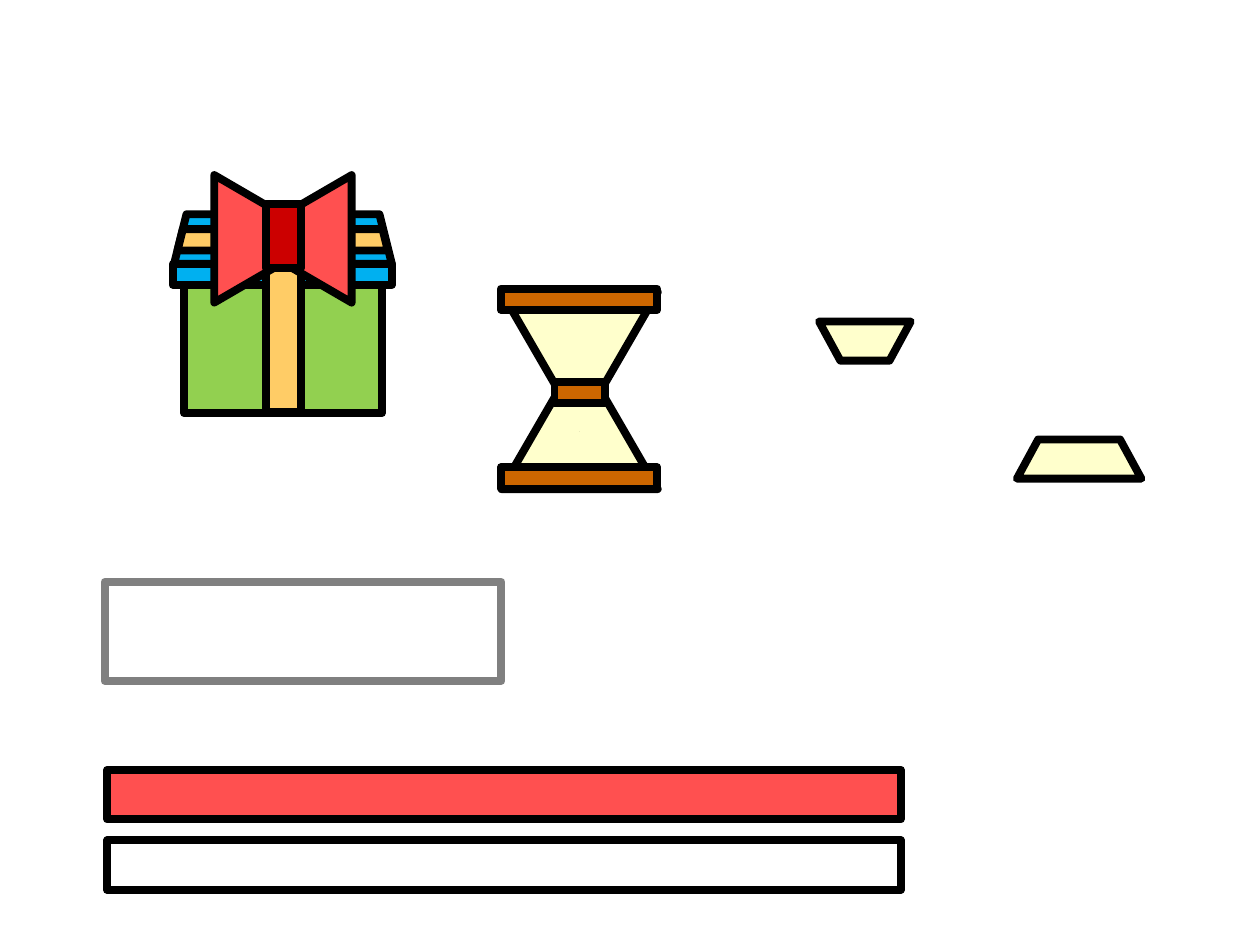
from lxml import etree
from pptx import Presentation
from pptx.dml.color import RGBColor
from pptx.enum.shapes import MSO_SHAPE
from pptx.oxml.ns import qn
from pptx.util import Cm, Pt

BLACK = RGBColor(0x00, 0x00, 0x00)
GRAY = RGBColor(0x80, 0x80, 0x80)
WHITE = RGBColor(0xFF, 0xFF, 0xFF)
GREEN = RGBColor(0x92, 0xD0, 0x50)
BLUE = RGBColor(0x00, 0xB0, 0xF0)
GOLD = RGBColor(0xFF, 0xCC, 0x66)
RED = RGBColor(0xFF, 0x50, 0x50)
DARK_RED = RGBColor(0xCC, 0x00, 0x00)
CREAM = RGBColor(0xFF, 0xFF, 0xCC)
WOOD = RGBColor(0xCC, 0x66, 0x00)


class Canvas:
    outline_width = Pt(4.5)

    def __init__(self, slide):
        self.slide = slide
        self.target = slide.shapes

    def start_group(self):
        self.target = self.slide.shapes.add_group_shape().shapes

    def end_group(self):
        self.target = self.slide.shapes

    def draw(self, kind, box, fill, line, rotation=0):
        shape = self.target.add_shape(kind, *(Cm(value) for value in box))
        shape.shadow.inherit = False
        shape.rotation = rotation
        if fill is None:
            shape.fill.background()
        else:
            shape.fill.solid()
            shape.fill.fore_color.rgb = fill
        if line is None:
            shape.line.fill.background()
        else:
            shape.line.color.rgb = line
            shape.line.width = self.outline_width
            etree.SubElement(shape.line._get_or_add_ln(), qn("a:round"))
        return shape

    def rect(self, box, fill=None, line=BLACK):
        return self.draw(MSO_SHAPE.RECTANGLE, box, fill, line)

    def triangle(self, box, fill, rotation=0):
        return self.draw(MSO_SHAPE.ISOSCELES_TRIANGLE, box, fill, BLACK, rotation)

    def trapezoid(self, box, fill, slant=0.25, rotation=0):
        shape = self.draw(MSO_SHAPE.TRAPEZOID, box, fill, BLACK, rotation)
        shape.adjustments[0] = slant
        return shape


def draw_gift(canvas):
    ribbon_left, ribbon_width = 5.36, 0.71
    canvas.start_group()
    canvas.rect((3.71, 5.33, 3.99, 3), GREEN)
    canvas.trapezoid((3.51, 4.32, 4.39, 1), BLUE)
    canvas.rect((3.48, 5.33, 4.42, 0.41), BLUE)
    canvas.trapezoid((ribbon_left, 4.32, ribbon_width, 1), WHITE, 0.149)
    canvas.trapezoid((3.58, 4.62, 4.24, 0.43), GOLD)
    canvas.rect((ribbon_left, 5.03, ribbon_width, 3.28), GOLD)
    for left, rotation in ((4.14, 90), (4.7, 270)):
        canvas.triangle((left, 3.71, 2.57, 2.21), RED, rotation)
    canvas.rect((4.67, 4.34, 1.88, 1), RED, None)
    canvas.rect((ribbon_left, 4.11, ribbon_width, 1.3), DARK_RED)
    canvas.end_group()


def draw_hourglass(canvas):
    for top, rotation in ((7.14, 0), (5.89, 180)):
        canvas.triangle((10.11, top, 3.15, 2.72), CREAM, rotation)
    canvas.rect((11.28, 7.19, 0.79, 1.5), CREAM, None)
    for left, top, width in ((11.18, 7.7, 1.02), (10.1, 9.42, 3.15), (10.1, 5.82, 3.15)):
        canvas.rect((left, top, width, 0.43), WOOD)


def draw_sand(canvas):
    canvas.trapezoid((16.51, 6.48, 1.85, 0.79), CREAM, 0.544, 180)
    canvas.trapezoid((20.5, 8.86, 2.51, 0.79), CREAM, 0.544)


def draw_bars(canvas):
    canvas.rect((2.11, 11.73, 8, 2), line=GRAY)
    for top, fill in ((15.52, RED), (16.94, None)):
        canvas.rect((2.16, top, 16, 1), fill)


presentation = Presentation()
presentation.slide_width = Cm(25.4)
presentation.slide_height = Cm(19.05)
canvas = Canvas(presentation.slides.add_slide(presentation.slide_layouts[6]))
draw_gift(canvas)
draw_hourglass(canvas)
draw_sand(canvas)
draw_bars(canvas)
presentation.save("out.pptx")
